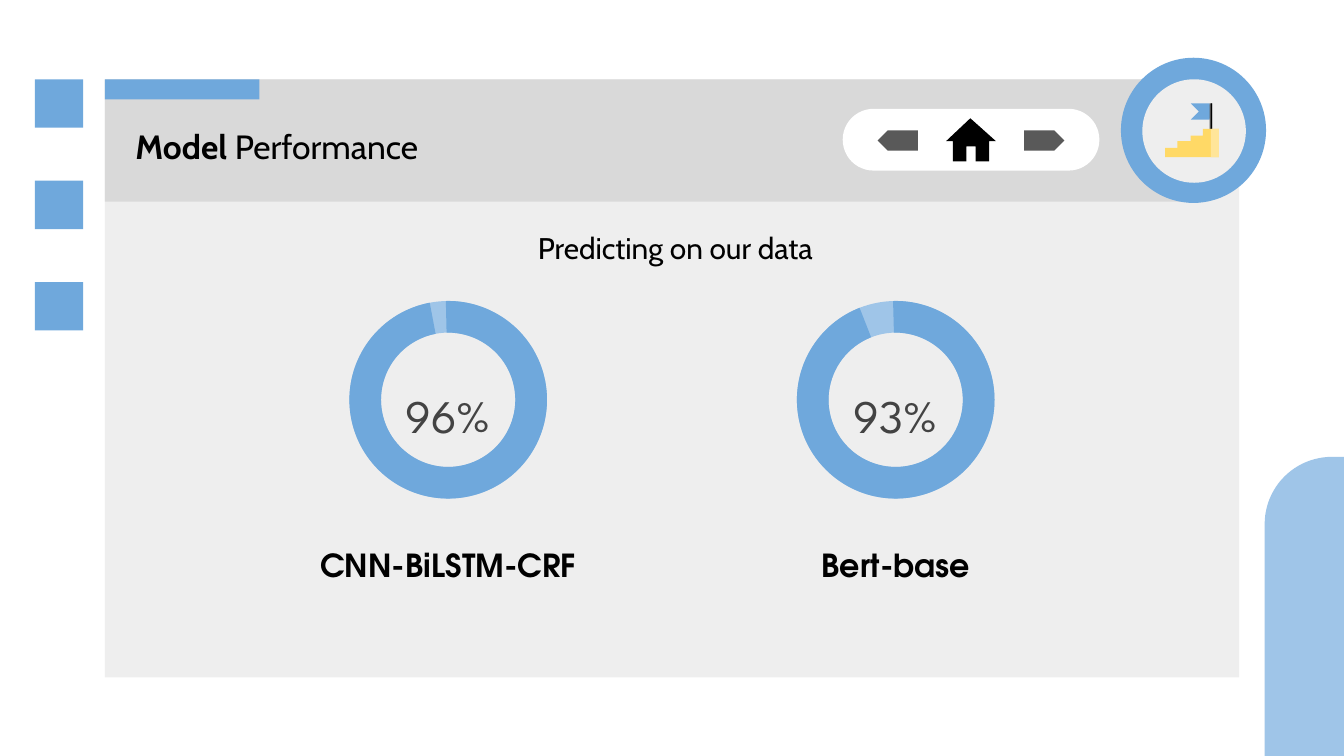
from math import cos, pi, sin

from pptx import Presentation
from pptx.dml.color import RGBColor
from pptx.enum.shapes import MSO_SHAPE as Shape
from pptx.enum.text import MSO_ANCHOR as Anchor, PP_ALIGN as Align
from pptx.util import Inches, Pt

# Content
TITLE = [("Model ", True), ("Performance", False)]
SUBTITLE = "Predicting on our data"
# model, score, arc start and end in degrees, ring thickness ratio
MODELS = [
    ("CNN-BiLSTM-CRF", "96%", 268.65, 259.22, 0.16),
    ("Bert-base", "93%", 268.47, 248.54, 0.16),
]


class Theme:
    blue, pale_blue = "6FA8DC", "9FC5E8"
    panel, header, white = "EEEEEE", "D9D9D9", "FFFFFF"
    black, dark, score = "000000", "595959", "434343"
    gold, pale_gold = "FFD966", "FFE599"
    text_font, score_font, model_font = "Cabin", "League Spartan", "TeX Gyre Adventor"
    title_size, subtitle_size, score_size, model_size = 18, 16, 25, 17


SLIDE_W, SLIDE_H = 10, 5.625
HOME = [(7.22, 0.88), (7.04, 1.05), (7.09, 1.05), (7.09, 1.2), (7.19, 1.2), (7.19, 1.09),
        (7.26, 1.09), (7.26, 1.2), (7.36, 1.2), (7.36, 1.05), (7.41, 1.05)]
FLAG = [(8.86, 0.77), (8.92, 0.83), (8.86, 0.89), (9, 0.89), (9.01, 0.83), (9, 0.77)]
STAIRS = [(8.95, 0.96), (8.95, 1.01), (8.86, 1.01), (8.86, 1.05), (8.76, 1.05),
          (8.76, 1.1), (8.67, 1.1), (8.67, 1.17), (9.07, 1.17), (9.07, 0.96)]

prs = Presentation()
prs.slide_width, prs.slide_height = Inches(SLIDE_W), Inches(SLIDE_H)
slide = prs.slides.add_slide(prs.slide_layouts[6])


def paint(shape, color):
    shape.shadow.inherit = False
    shape.fill.solid()
    shape.fill.fore_color.rgb = RGBColor.from_string(color)
    shape.line.fill.background()
    return shape


def add_preset(kind, x, y, w, h, color, adjustments=()):
    shape = slide.shapes.add_shape(kind, Inches(x), Inches(y), Inches(w), Inches(h))
    for i, value in enumerate(adjustments):
        shape.adjustments[i] = value
    return paint(shape, color)


def add_outline(points, color):
    first, *rest = [(Inches(x), Inches(y)) for x, y in points]
    builder = slide.shapes.build_freeform(*first)
    builder.add_line_segments(rest, close=True)
    return paint(builder.convert_to_shape(), color)


def add_text(runs, x, y, w, h, font, size, color, align=Align.CENTER,
             anchor=Anchor.MIDDLE, top=0.1, bottom=0.1, after=0):
    box = slide.shapes.add_textbox(Inches(x), Inches(y), Inches(w), Inches(h))
    frame = box.text_frame
    frame.word_wrap = True
    frame.vertical_anchor = anchor
    frame.margin_left = frame.margin_right = Inches(0.1)
    frame.margin_top, frame.margin_bottom = Inches(top), Inches(bottom)
    paragraph = frame.paragraphs[0]
    paragraph.alignment = align
    paragraph.space_after = Pt(after)
    for words, bold in runs:
        run = paragraph.add_run()
        run.text = words
        run.font.name, run.font.size, run.font.bold = font, Pt(size), bold
        run.font.color.rgb = RGBColor.from_string(color)


# Panel, header and accent tab
add_preset(Shape.RECTANGLE, 0.78, 0.59, 8.44, 4.45, Theme.panel)
add_preset(Shape.RECTANGLE, 0.78, 0.59, 8.12, 0.91, Theme.header)
add_preset(Shape.RECTANGLE, 0.78, 0.59, 1.15, 0.15, Theme.blue)

# Squares down the left margin
for row in range(3):
    add_preset(Shape.RECTANGLE, 0.26, 0.59 + row * 0.755, 0.36, 0.36, Theme.blue)

# Slab with a rounded corner at the lower right
slab_x, slab_y, radius = 9.41, 3.4, 0.5
angles = [pi / 2 * step / 24 for step in range(25)]
corner = [(slab_x + radius * (1 - cos(a)), slab_y + radius * (1 - sin(a))) for a in angles]
add_outline(corner + [(SLIDE_W, slab_y), (SLIDE_W, SLIDE_H), (slab_x, SLIDE_H)],
            Theme.pale_blue)

# Title and navigation pill
add_text(TITLE, 0.91, 0.92, 2.94, 0.34, Theme.text_font, Theme.title_size,
         Theme.black, Align.LEFT)
add_preset(Shape.ROUNDED_RECTANGLE, 6.27, 0.81, 1.91, 0.46, Theme.white, [0.5])
for arrow_x, turn in [(6.53, 180), (7.62, 0)]:
    arrow = add_preset(Shape.PENTAGON, arrow_x, 0.97, 0.3, 0.15, Theme.dark, [0.5])
    arrow.rotation = turn
add_outline(HOME, Theme.black)

# Badge with a flag on top of stairs
add_preset(Shape.OVAL, 8.34, 0.43, 1.08, 1.08, Theme.blue)
add_preset(Shape.OVAL, 8.5, 0.59, 0.77, 0.77, Theme.panel)
add_outline(FLAG, Theme.blue)
add_preset(Shape.RECTANGLE, 9, 0.77, 0.02, 0.21, Theme.dark)
add_preset(Shape.RECTANGLE, 9.01, 0.77, 0.01, 0.21, Theme.black)
add_outline(STAIRS, Theme.gold)
add_preset(Shape.RECTANGLE, 9.01, 0.96, 0.06, 0.21, Theme.pale_gold)

# Score rings, each centred over its model name
RING, ANGLE_UNIT = 1.47, 0.6  # one degree is 0.6 of an adjustment unit
for column, (model, score, start, end, thickness) in enumerate(MODELS):
    center = 3.335 + column * 3.33
    ring_box = (center - RING / 2, 2.24, RING, RING)
    add_text([(score, False)], center - 0.62, 2.58, 1.24, 0.83, Theme.score_font,
             Theme.score_size, Theme.score, top=0.18, bottom=0, after=16)
    add_preset(Shape.DONUT, *ring_box, Theme.pale_blue, [thickness])
    add_preset(Shape.BLOCK_ARC, *ring_box, Theme.blue,
               [start * ANGLE_UNIT, end * ANGLE_UNIT, thickness])
    add_text([(model, True)], center - 1.195, 4.06, 2.39, 0.29, Theme.model_font,
             Theme.model_size, Theme.black)

# Subtitle
add_text([(SUBTITLE, False)], 2.37, 1.61, 5.31, 0.48, Theme.text_font,
         Theme.subtitle_size, Theme.black, anchor=Anchor.TOP, after=16)

prs.save("out.pptx")
